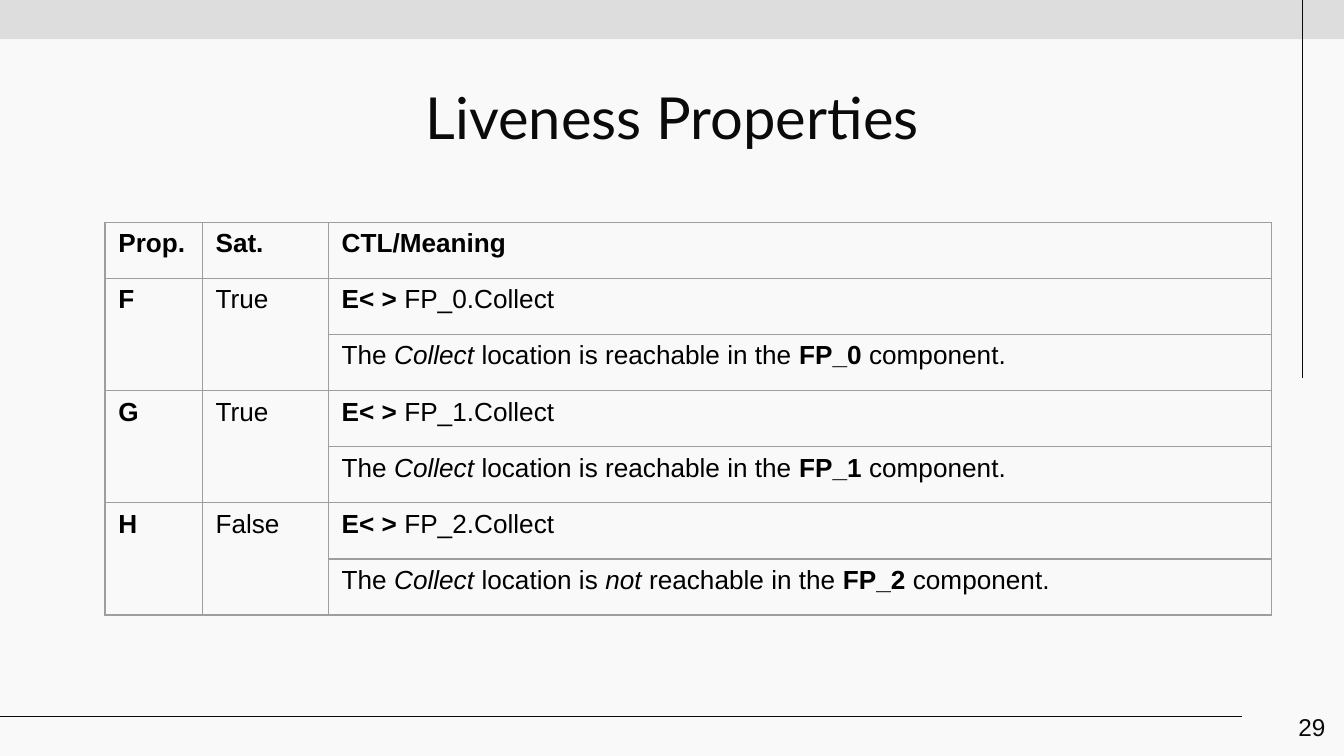
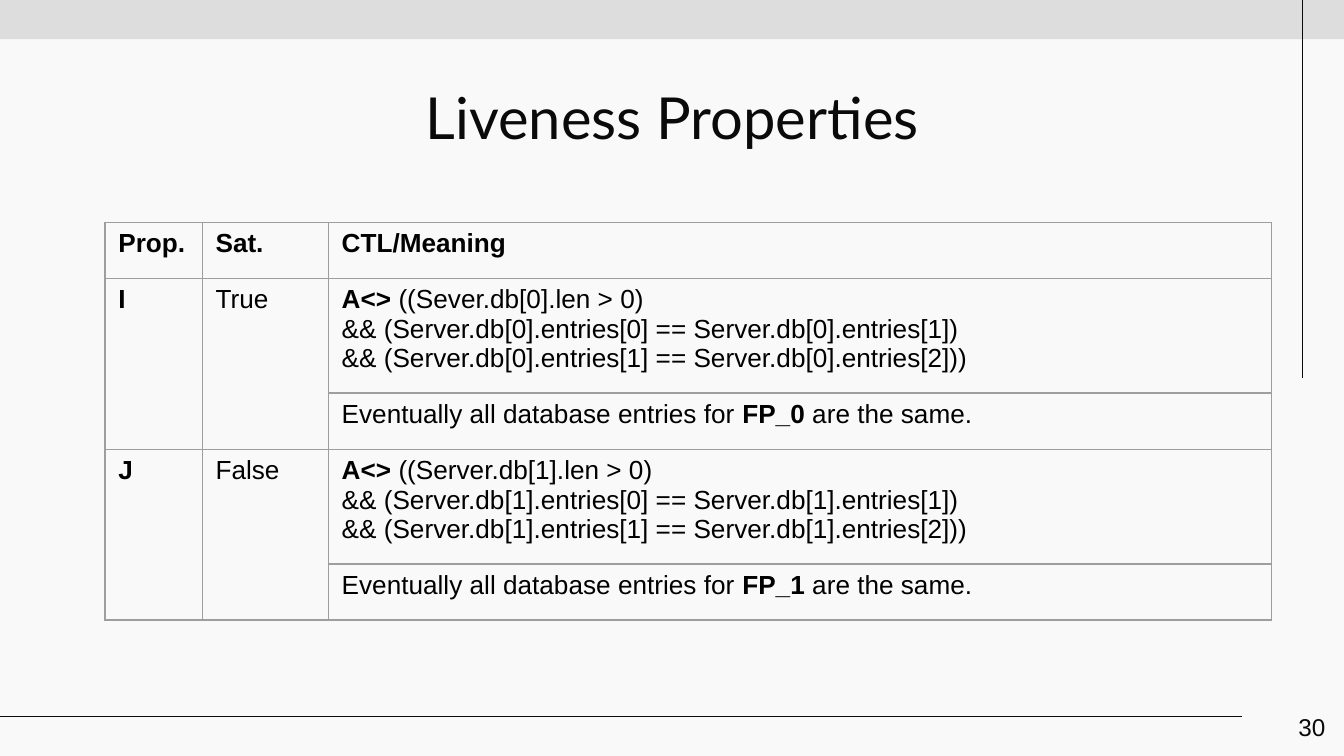
"""Build two slides that tabulate the liveness properties of a model."""
from dataclasses import dataclass
from typing import NamedTuple

from lxml.etree import SubElement
from pptx import Presentation
from pptx.dml.color import RGBColor
from pptx.enum.shapes import MSO_CONNECTOR as Connector, MSO_SHAPE as Preset
from pptx.enum.text import MSO_ANCHOR as Anchor, PP_ALIGN as Align
from pptx.oxml.ns import qn
from pptx.presentation import Presentation as Deck
from pptx.slide import Slide
from pptx.table import _Cell as Cell
from pptx.text.text import TextFrame
from pptx.util import Pt

INK = RGBColor(0x0A, 0x0A, 0x0A)
BLACK = RGBColor(0x00, 0x00, 0x00)
PAPER = RGBColor(0xF9, 0xF9, 0xF9)
BAND = RGBColor(0xDD, 0xDD, 0xDD)
GRID = RGBColor(0x9E, 0x9E, 0x9E)

BODY_FONT = "Arial"
TITLE_FONT = "Lato"
SLIDE_WIDTH, SLIDE_HEIGHT = 720, 405
RULE_WIDTH = 0.75
HEADINGS = ("Prop.", "Sat.", "CTL/Meaning")
COLUMN_WIDTHS = (52.1, 67.6, 505.3)
TABLE_LEFT, TABLE_TOP = 56.2, 119
ROW_HEIGHT = 30.1
TALL_ROW_HEIGHT = 61.5


class Run(NamedTuple):
    """A piece of text with its emphasis."""

    text: str
    bold: bool = False
    italic: bool = False


class Box(NamedTuple):
    """A rectangle in points."""

    left: float
    top: float
    width: float
    height: float


class Rule(NamedTuple):
    """A straight line between two points."""

    start: tuple[float, float]
    end: tuple[float, float]


Line = tuple[Run, ...]


@dataclass(frozen=True)
class Property:
    """A checked property: its formula above its meaning."""

    name: str
    satisfied: bool
    formula: list[Line]
    meaning: Line

    @property
    def formula_height(self) -> float:
        """Return the height of the formula row."""
        return TALL_ROW_HEIGHT if len(self.formula) > 1 else ROW_HEIGHT


TITLE_BOX = Box(56.2, 36.7, 607.6, 43.2)
NUMBER_BOX = Box(673.9, 373.9, 43.2, 31)
BAND_BOX = Box(0, 0, SLIDE_WIDTH, 21)
RULES = (Rule((697.7, 0), (697.7, 202.5)), Rule((665.3, 383.8), (0, 383.8)))


def write_text(frame: TextFrame, lines: list[Line], *, size: float = 14,
               font: str = BODY_FONT, color: RGBColor = BLACK,
               align: Align = Align.LEFT) -> None:
    """Write lines of runs into a text frame, one paragraph each."""
    frame.word_wrap = True
    for index, line in enumerate(lines):
        paragraph = frame.add_paragraph() if index else frame.paragraphs[0]
        paragraph.alignment = align
        for piece in line:
            run = paragraph.add_run()
            run.text = piece.text
            run.font.name = font
            run.font.size = Pt(size)
            run.font.color.rgb = color
            run.font.bold = piece.bold
            run.font.italic = piece.italic


def add_label(slide: Slide, box: Box, text: str, *, anchor: Anchor = Anchor.TOP,
              **text_format) -> None:
    """Add a text box with even insets."""
    frame = slide.shapes.add_textbox(*map(Pt, box)).text_frame
    frame.margin_left = frame.margin_right = Pt(7.2)
    frame.margin_top = frame.margin_bottom = Pt(7.2)
    frame.vertical_anchor = anchor
    write_text(frame, [(Run(text),)], color=INK, **text_format)


def add_rule(slide: Slide, rule: Rule) -> None:
    """Draw a thin line without a shadow."""
    connector = slide.shapes.add_connector(
        Connector.STRAIGHT, *map(Pt, rule.start + rule.end))
    connector.line.color.rgb = INK
    connector.line.width = Pt(RULE_WIDTH)
    SubElement(connector._element.spPr, qn("a:effectLst"))


def add_frame(slide: Slide, title: str, number: int) -> None:
    """Add the background, band, rules, title and slide number."""
    slide.background.fill.solid()
    slide.background.fill.fore_color.rgb = PAPER
    band = slide.shapes.add_shape(Preset.RECTANGLE, *map(Pt, BAND_BOX))
    band.shadow.inherit = False
    band.fill.solid()
    band.fill.fore_color.rgb = BAND
    band.line.fill.background()
    for rule in RULES:
        add_rule(slide, rule)
    add_label(slide, TITLE_BOX, title, size=31, font=TITLE_FONT, align=Align.CENTER)
    add_label(slide, NUMBER_BOX, str(number), size=13, align=Align.RIGHT,
              anchor=Anchor.MIDDLE)


def style_cell(cell: Cell) -> None:
    """Give a cell grey borders and no fill."""
    properties = cell._tc.get_or_add_tcPr()
    for side in ("lnL", "lnR", "lnT", "lnB"):
        border = SubElement(properties, qn(f"a:{side}"), w=str(Pt(RULE_WIDTH)))
        fill = SubElement(border, qn("a:solidFill"))
        SubElement(fill, qn("a:srgbClr"), val=str(GRID))
    cell.fill.background()


def add_property_table(slide: Slide, properties: list[Property]) -> None:
    """Add a table with two rows for each property."""
    heights = [ROW_HEIGHT]
    for item in properties:
        heights += [item.formula_height, ROW_HEIGHT]
    box = Box(TABLE_LEFT, TABLE_TOP, sum(COLUMN_WIDTHS), sum(heights))
    table = slide.shapes.add_table(
        len(heights), len(COLUMN_WIDTHS), *map(Pt, box)).table
    table.first_row = table.horz_banding = False
    for column, width in zip(table.columns, COLUMN_WIDTHS):
        column.width = Pt(width)
    for row, height in zip(table.rows, heights):
        row.height = Pt(height)
    for cell in table.iter_cells():
        style_cell(cell)

    for index, heading in enumerate(HEADINGS):
        write_text(table.cell(0, index).text_frame, [(Run(heading, bold=True),)])
    for index, item in enumerate(properties):
        top = 1 + 2 * index
        for column in (0, 1):
            table.cell(top, column).merge(table.cell(top + 1, column))
        write_text(table.cell(top, 0).text_frame, [(Run(item.name, bold=True),)])
        write_text(table.cell(top, 1).text_frame, [(Run(str(item.satisfied)),)])
        write_text(table.cell(top, 2).text_frame, item.formula)
        write_text(table.cell(top + 1, 2).text_frame, [item.meaning])


def reachability(name: str, index: int, reachable: bool) -> Property:
    """Describe whether a component can reach its Collect location."""
    component = f"FP_{index}"
    verb = (Run(" location is "), Run("not", italic=True), Run(" reachable in the "))
    if reachable:
        verb = (Run(" location is reachable in the "),)
    return Property(
        name, reachable,
        [(Run("E< > ", bold=True), Run(f"{component}.Collect"))],
        (Run("The "), Run("Collect", italic=True), *verb,
         Run(component, bold=True), Run(" component.")))


def agreement(name: str, index: int, satisfied: bool, first_term: str) -> Property:
    """Describe whether all entries of one database become equal."""
    entries = f"Server.db[{index}].entries"
    return Property(
        name, satisfied,
        [(Run("A<> ", bold=True), Run(f"(({first_term} > 0)")),
         (Run(f"&& ({entries}[0] == {entries}[1])"),),
         (Run(f"&& ({entries}[1] == {entries}[2]))"),)],
        (Run("Eventually all database entries for "),
         Run(f"FP_{index}", bold=True), Run(" are the same.")))


PAGES = {
    29: [reachability("F", 0, True), reachability("G", 1, True),
         reachability("H", 2, False)],
    30: [agreement("I", 0, True, "Sever.db[0].len"),
         agreement("J", 1, False, "Server.db[1].len")],
}


def build_presentation() -> Deck:
    """Build all slides."""
    presentation = Presentation()
    presentation.slide_width = Pt(SLIDE_WIDTH)
    presentation.slide_height = Pt(SLIDE_HEIGHT)
    blank = presentation.slide_layouts[6]
    for number, properties in PAGES.items():
        slide = presentation.slides.add_slide(blank)
        add_frame(slide, "Liveness Properties", number)
        add_property_table(slide, properties)
    return presentation


if __name__ == "__main__":
    build_presentation().save("out.pptx")
